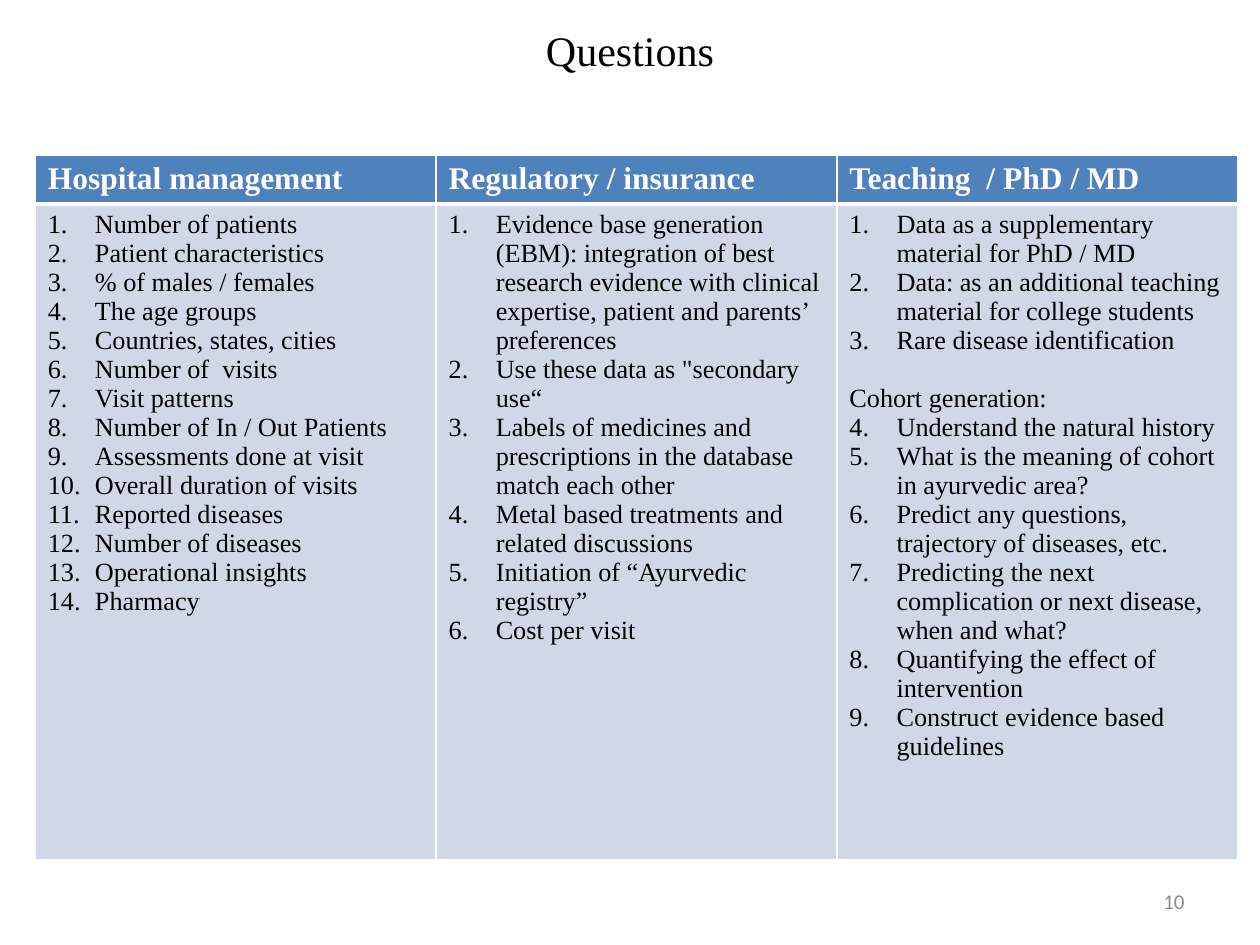
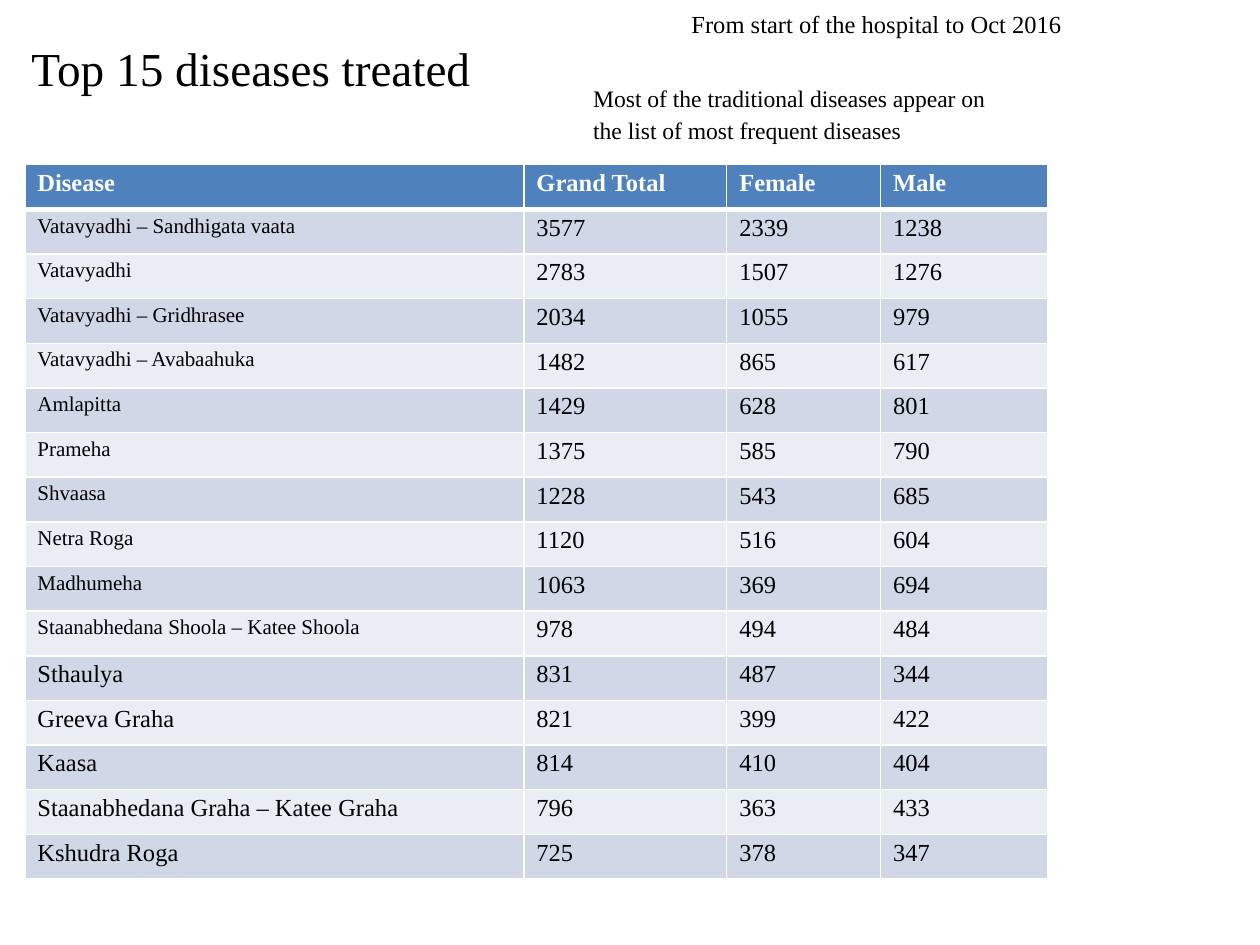
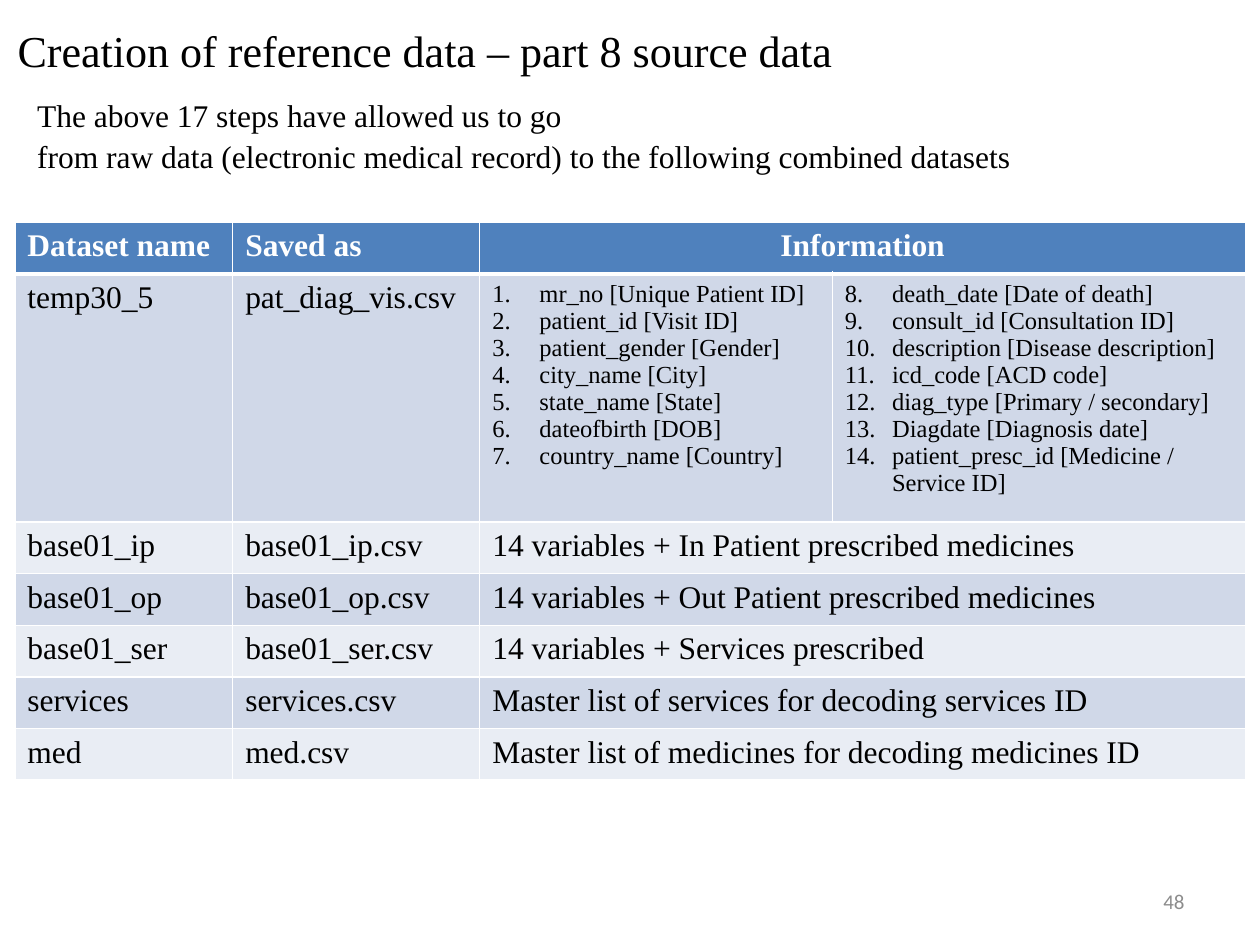
from dataclasses import dataclass
from typing import Optional

from lxml import etree
from pptx import Presentation
from pptx.dml.color import RGBColor
from pptx.enum.text import MSO_ANCHOR, MSO_AUTO_SIZE, PP_ALIGN
from pptx.oxml.ns import qn
from pptx.util import Cm, Pt

LEFT, CENTER, RIGHT = PP_ALIGN.LEFT, PP_ALIGN.CENTER, PP_ALIGN.RIGHT
MIDDLE = MSO_ANCHOR.MIDDLE
TOP = MSO_ANCHOR.TOP
NO_AUTOFIT = MSO_AUTO_SIZE.NONE

BLACK = RGBColor(0x00, 0x00, 0x00)
WHITE = RGBColor(0xFF, 0xFF, 0xFF)
GREY = RGBColor(0x8C, 0x8C, 0x8C)
HEADER_BLUE = RGBColor(0x4F, 0x81, 0xBD)
BANDS = (RGBColor(0xD0, 0xD8, 0xE8), RGBColor(0xE9, 0xED, 0xF4))

SERIF = "Times New Roman"
SANS = "Calibri"
TITLE_ONLY = 5
NUMBER_INDENT = Cm(0.95)


@dataclass(frozen=True)
class Box:
    left: float
    top: float
    width: float
    height: float

    def lengths(self) -> tuple:
        return Cm(self.left), Cm(self.top), Cm(self.width), Cm(self.height)


@dataclass(frozen=True)
class Style:
    size: float
    color: RGBColor = BLACK
    bold: bool = False
    font: str = SERIF
    align: PP_ALIGN = LEFT


@dataclass(frozen=True)
class Line:
    text: str
    start: Optional[int] = None
    space_before: float = 0


@dataclass(frozen=True)
class Cell:
    lines: tuple
    style: Style


@dataclass(frozen=True)
class TableLayout:
    left: float
    top: float
    columns: tuple
    rows: tuple
    margin: float = 0.13


NUMBER_BOX = Box(18.21, 17.65, 5.92, 1.02)
NUMBER_STYLE = Style(12, GREY, font=SANS, align=RIGHT)

QUESTIONS = TableLayout(0.71, 3.12, (8.08,) * 3, (0.99, 13.23))
DISEASES_LAYOUT = TableLayout(0.5, 3.32, (10.06, 4.09, 3.1, 3.38), (0.9,) * 16, 0.1)
DATASETS_LAYOUT = TableLayout(0.3, 4.48, (4.39, 4.98, 7.11, 8.33), (1.04, 4.99) + (1.04,) * 5)

MANAGEMENT = (
    "Number of patients",
    "Patient characteristics",
    "% of males / females",
    "The age groups",
    "Countries, states, cities",
    "Number of  visits",
    "Visit patterns",
    "Number of In / Out Patients",
    "Assessments done at visit",
    "Overall duration of visits",
    "Reported diseases",
    "Number of diseases",
    "Operational insights",
    "Pharmacy",
)
REGULATORY = (
    "Evidence base generation (EBM): integration of best research evidence with "
    "clinical expertise, patient and parents’ preferences",
    "Use these data as \"secondary use“",
    "Labels of medicines and prescriptions in the database match each other",
    "Metal based treatments and related discussions",
    "Initiation of “Ayurvedic registry”",
    "Cost per visit",
)
TEACHING = (
    "Data as a supplementary material for PhD / MD",
    "Data: as an additional teaching material for college students",
    "Rare disease identification",
)
COHORT = (
    "Understand the natural history",
    "What is the meaning of cohort in ayurvedic area?",
    "Predict any questions, trajectory of diseases, etc.",
    "Predicting the next complication or next disease, when and what?",
    "Quantifying the effect of intervention",
    "Construct evidence based guidelines",
)
DISEASES = (
    ("Vatavyadhi – Sandhigata vaata", 3577, 2339, 1238),
    ("Vatavyadhi", 2783, 1507, 1276),
    ("Vatavyadhi – Gridhrasee", 2034, 1055, 979),
    ("Vatavyadhi – Avabaahuka", 1482, 865, 617),
    ("Amlapitta", 1429, 628, 801),
    ("Prameha", 1375, 585, 790),
    ("Shvaasa", 1228, 543, 685),
    ("Netra Roga", 1120, 516, 604),
    ("Madhumeha", 1063, 369, 694),
    ("Staanabhedana Shoola – Katee Shoola", 978, 494, 484),
    ("Sthaulya", 831, 487, 344),
    ("Greeva Graha", 821, 399, 422),
    ("Kaasa", 814, 410, 404),
    ("Staanabhedana Graha – Katee Graha", 796, 363, 433),
    ("Kshudra Roga", 725, 378, 347),
)
SMALL_DISEASE_NAMES = 10
PATIENT_VARIABLES = (
    "mr_no [Unique Patient ID]",
    "patient_id [Visit ID]",
    "patient_gender [Gender]",
    "city_name [City]",
    "state_name [State]",
    "dateofbirth [DOB]",
    "country_name [Country]",
)
VISIT_VARIABLES = (
    "death_date [Date of death]",
    "consult_id [Consultation ID]",
    "description [Disease description]",
    "icd_code [ACD code]",
    "diag_type [Primary / secondary]",
    "Diagdate [Diagnosis date]",
    "patient_presc_id [Medicine / Service ID]",
)
DATASETS = (
    ("base01_ip", "14 variables + In Patient prescribed medicines"),
    ("base01_op", "14 variables + Out Patient prescribed medicines"),
    ("base01_ser", "14 variables + Services prescribed"),
    ("services", "Master list of services for decoding services ID"),
    ("med", "Master list of medicines for decoding medicines ID"),
)


def numbered(items: tuple, start: int = 1) -> tuple:
    return tuple(Line(item, start) for item in items)


def plain(text: object, style: Style) -> Cell:
    return Cell((Line(str(text)),), style)


def header(texts: tuple, size: float) -> list:
    return [plain(text, Style(size, WHITE, True)) for text in texts]


def number_paragraph(paragraph, start: int) -> None:
    properties = paragraph._p.get_or_add_pPr()
    properties.set("marL", str(NUMBER_INDENT))
    properties.set("indent", str(-NUMBER_INDENT))
    etree.SubElement(properties, qn("a:buFont"), typeface="+mj-lt")
    numbering = etree.SubElement(properties, qn("a:buAutoNum"), type="arabicPeriod")
    if start > 1:
        numbering.set("startAt", str(start))


def write_lines(text_frame, lines: tuple, style: Style) -> None:
    text_frame.text = "\n".join(line.text for line in lines)
    for paragraph, line in zip(text_frame.paragraphs, lines):
        paragraph.alignment = style.align
        if line.space_before:
            paragraph.space_before = Pt(line.space_before)
        if line.start is not None:
            number_paragraph(paragraph, line.start)
        for run in paragraph.runs:
            run.font.name = style.font
            run.font.size = Pt(style.size)
            run.font.bold = style.bold
            run.font.color.rgb = style.color


def set_borders(cell, row: int) -> None:
    properties = cell._tc.get_or_add_tcPr()
    widths = {"L": 1, "R": 1, "T": 3 if row == 1 else 1, "B": 3 if row == 0 else 1}
    for position, (side, width) in enumerate(widths.items()):
        border = etree.Element(qn(f"a:ln{side}"), w=str(Pt(width)))
        fill = etree.SubElement(border, qn("a:solidFill"))
        etree.SubElement(fill, qn("a:srgbClr"), val=str(WHITE))
        properties.insert(position, border)


def add_table(slide, layout: TableLayout, content: list):
    box = Box(layout.left, layout.top, sum(layout.columns), sum(layout.rows))
    table = slide.shapes.add_table(len(layout.rows), len(layout.columns), *box.lengths()).table
    table.horz_banding = False
    for column, width in zip(table.columns, layout.columns):
        column.width = Cm(width)
    for row, height in zip(table.rows, layout.rows):
        row.height = Cm(height)
    for row_index, row_cells in enumerate(content):
        for column_index in range(len(layout.columns)):
            cell = table.cell(row_index, column_index)
            cell.margin_top = cell.margin_bottom = Cm(layout.margin)
            cell.fill.solid()
            cell.fill.fore_color.rgb = BANDS[(row_index - 1) % 2] if row_index else HEADER_BLUE
            set_borders(cell, row_index)
            if column_index < len(row_cells):
                write_lines(cell.text_frame, row_cells[column_index].lines, row_cells[column_index].style)
        if len(row_cells) < len(layout.columns):
            table.cell(row_index, len(row_cells) - 1).merge(table.cell(row_index, len(layout.columns) - 1))
    return table


def add_titled_slide(presentation, title: str, box: Box, style: Style):
    slide = presentation.slides.add_slide(presentation.slide_layouts[TITLE_ONLY])
    shape = slide.shapes.title
    shape.left, shape.top, shape.width, shape.height = box.lengths()
    shape.text_frame.auto_size = NO_AUTOFIT
    shape.text_frame.vertical_anchor = MIDDLE
    write_lines(shape.text_frame, (Line(title),), style)
    return slide


def add_text(slide, texts: tuple, box: Box, style: Style, anchor=TOP, spacing: float = 1.1) -> None:
    text_frame = slide.shapes.add_textbox(*box.lengths()).text_frame
    text_frame.word_wrap = True
    text_frame.vertical_anchor = anchor
    write_lines(text_frame, tuple(Line(text) for text in texts), style)
    for paragraph in text_frame.paragraphs:
        paragraph.line_spacing = spacing


def add_slide_number(slide, number: int) -> None:
    add_text(slide, (str(number),), NUMBER_BOX, NUMBER_STYLE, MIDDLE, 1.0)


def build_questions(presentation) -> None:
    slide = add_titled_slide(
        presentation, "Questions", Box(1.27, 0.13, 22.86, 1.75), Style(24, align=CENTER))
    teaching = (numbered(TEACHING) + (Line("Cohort generation:", space_before=16.6),)
                + numbered(COHORT, len(TEACHING) + 1))
    body = Style(15)
    add_table(slide, QUESTIONS, [
        header(("Hospital management", "Regulatory / insurance", "Teaching  / PhD / MD"), 18),
        [Cell(lines, body) for lines in (numbered(MANAGEMENT), numbered(REGULATORY), teaching)],
    ])
    add_slide_number(slide, 10)


def build_diseases(presentation) -> None:
    slide = add_titled_slide(
        presentation, "Top 15 diseases treated", Box(0.38, 0.3, 14.94, 2.13), Style(27))
    rows = [header(("Disease", "Grand Total", "Female", "Male"), 14)]
    for index, (disease, *counts) in enumerate(DISEASES):
        name_size = 12 if index < SMALL_DISEASE_NAMES else 14
        rows.append([plain(disease, Style(name_size))] + [plain(count, Style(14)) for count in counts])
    add_table(slide, DISEASES_LAYOUT, rows)
    add_text(slide, ("Most of the traditional diseases appear on the list of most frequent diseases",),
             Box(11.71, 1.52, 9.09, 1.42), Style(13.5))
    add_text(slide, ("From start of the hospital to Oct 2016",), Box(13.69, 0, 8.41, 0.86), Style(14))


def build_datasets(presentation) -> None:
    slide = add_titled_slide(
        presentation, "Creation of reference data – part 8 source data",
        Box(0.1, 0.33, 17, 1.37), Style(25.2))
    add_slide_number(slide, 48)
    add_text(slide, ("The above 17 steps have allowed us to go",
                     "from raw data (electronic medical record) to the following combined datasets"),
             Box(0.5, 1.73, 22, 1.8), Style(18))
    body, small = Style(18), Style(14)
    rows = [
        header(("Dataset name", "Saved as"), 18)
        + [plain("Information", Style(18, WHITE, True, align=CENTER))],
        [plain("temp30_5", body), plain("pat_diag_vis.csv", body),
         Cell(numbered(PATIENT_VARIABLES), small),
         Cell(numbered(VISIT_VARIABLES, len(PATIENT_VARIABLES) + 1), small)],
    ]
    rows += [[plain(text, body) for text in (name, f"{name}.csv", information)]
             for name, information in DATASETS]
    add_table(slide, DATASETS_LAYOUT, rows)


def main() -> None:
    """Build the three slides and save the presentation."""
    presentation = Presentation()
    presentation.slide_width, presentation.slide_height = Cm(25.4), Cm(19.05)
    build_questions(presentation)
    build_diseases(presentation)
    build_datasets(presentation)
    presentation.save("out.pptx")


if __name__ == "__main__":
    main()
